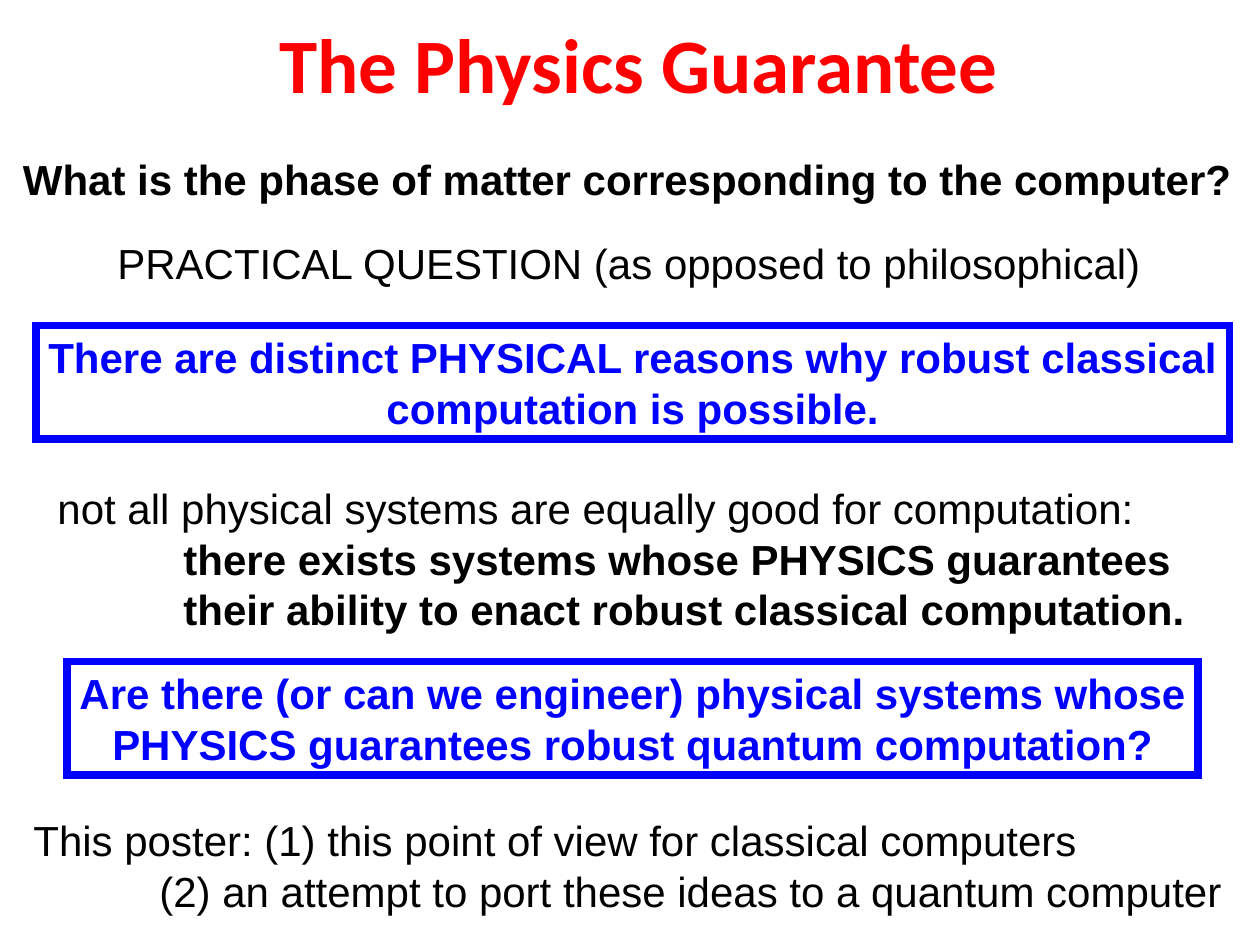
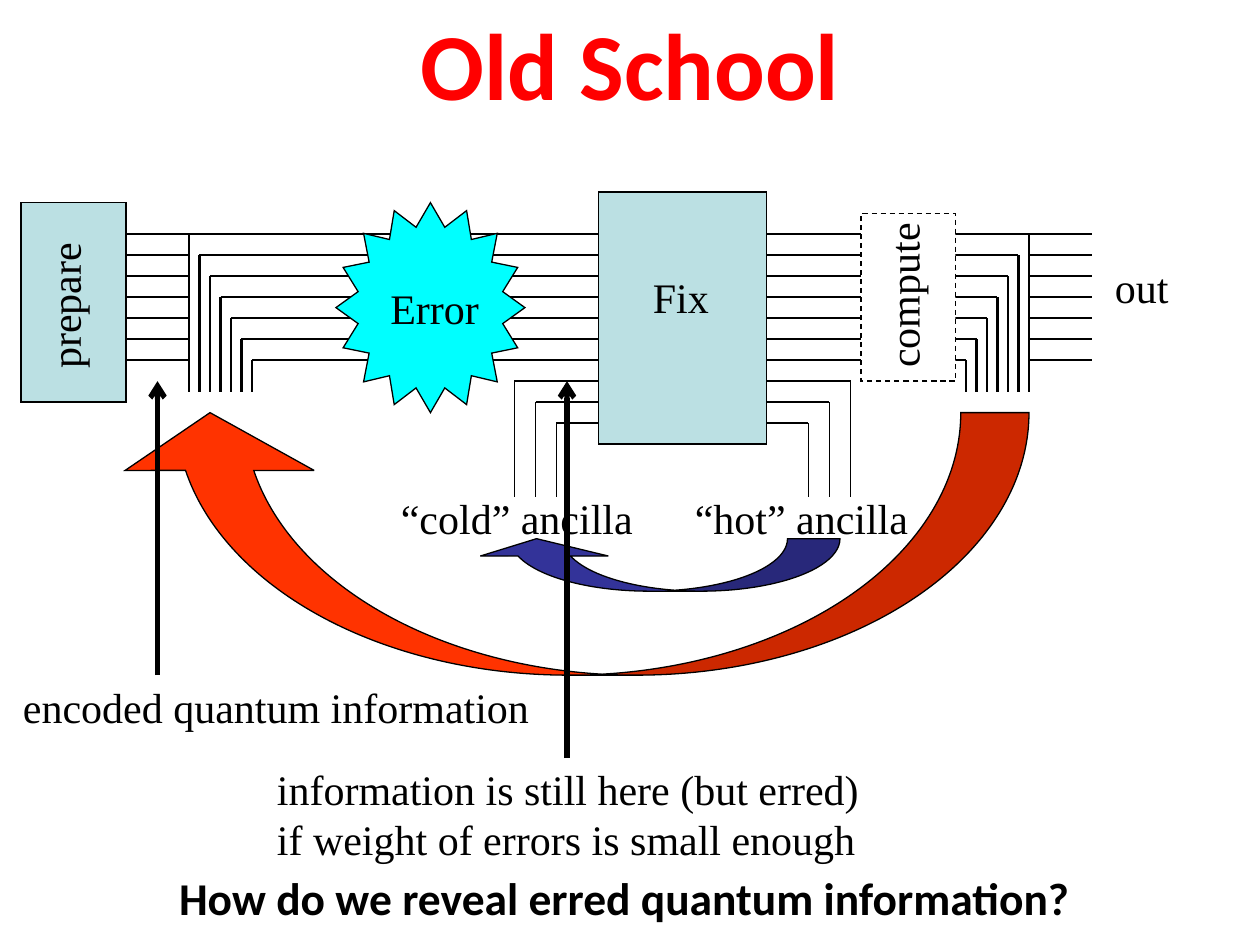
import pptx
import pptx.util
import pptx.dml.color
import pptx.enum.dml
import pptx.enum.shapes
import pptx.enum.text
import pptx.oxml.ns
import lxml.etree

RGB = pptx.dml.color.RGBColor
KIND = pptx.enum.shapes.MSO_SHAPE
ALIGN = pptx.enum.text.PP_ALIGN

RED = RGB(0xFF, 0x00, 0x00)
BLUE = RGB(0x00, 0x00, 0xFF)
BLACK = RGB(0x00, 0x00, 0x00)
WHITE = RGB(0xFF, 0xFF, 0xFF)
PALE = RGB(0xBB, 0xE0, 0xE3)
CYAN = RGB(0x00, 0xFF, 0xFF)
NAVY = RGB(0x33, 0x33, 0x99)
FLAME = RGB(0xFF, 0x33, 0x00)

SCALE = 7620
SANS, SERIF, HEAD = "Arial", "Times New Roman", "Calibri"
TAB = 120

TITLES = [
    ("The Physics Guarantee", (174, 10, 869, 101), 44),
    ("Old School", (345, 0, 510, 120), 54),
]

CLAIMS = [
    ((10, 140, 1175, 60),
     [("What is the phase of matter corresponding to the computer?", 0, True)]),
    ((100, 220, 1000, 60),
     [("PRACTICAL QUESTION (as opposed to philosophical)", 0, False)]),
    ((43, 454, 1097, 156),
     [("not all physical systems are equally good for computation:", 0, False),
      ("there exists systems whose PHYSICS guarantees", TAB, True),
      ("their ability to enact robust classical computation.", TAB, True)]),
    ((20, 770, 1156, 108),
     [("This poster: (1) this point of view for classical computers", 0, False),
      ("(2) an attempt to port these ideas to a quantum computer", TAB, False)]),
]

FRAMED = [
    ((34, 310, 1137, 108),
     ["There are distinct PHYSICAL reasons why robust classical",
      "computation is possible."]),
    ((64, 630, 1077, 108),
     ["Are there (or can we engineer) physical systems whose",
      "PHYSICS guarantees robust quantum computation?"]),
]

LABELS = [
    (["Error"], (360, 263, 120, 60), 0),
    (["Fix"], (610, 253, 90, 60), 0),
    (["“cold” ancilla"], (370, 463, 250, 60), 0),
    (["“hot” ancilla"], (650, 463, 230, 60), 0),
    (["prepare"], (-14, 258, 150, 60), 270),
    (["out"], (1050, 243, 80, 60), 0),
    (["compute"], (775, 247, 170, 60), 270),
    (["encoded quantum information"], (10, 643, 505, 60), 0),
    (["information is still here (but erred)",
      "if weight of errors is small enough"], (252, 721, 578, 108), 0),
]
ASK = "How do we reveal erred quantum information?"

WIRES, STEP, TOP = 7, 20, 223
LEFT, RIGHT, DROP, STUB = 180, 980, 373, 60
SPARES, COLD, HOT, SPARE, FALL = 3, 490, 810, 363, 473
FIX = (570, 183, 160, 240)
LOOPS = [
    ((450, 513, 350, 50), NAVY, (1.0, 2.44, 0.33)),
    ((110, 393, 870, 250), FLAME, (0.26, 0.72, 0.22)),
]
POINTERS = [(150, 643, 363), (540, 722, 363)]


def px(n):
    return pptx.util.Emu(n * SCALE)


def place(shape, box):
    shape.left, shape.top, shape.width, shape.height = map(px, box)


def append(parent, tag, **values):
    lxml.etree.SubElement(parent, pptx.oxml.ns.qn(tag), **values)


def write(shape, text, size=24, font=SANS, color=BLACK, bold=False,
          align=ALIGN.LEFT, wrap=False):
    frame = shape.text_frame
    frame.auto_size = pptx.enum.text.MSO_AUTO_SIZE.NONE
    frame.word_wrap = wrap
    frame.vertical_anchor = pptx.enum.text.MSO_ANCHOR.TOP
    for i, item in enumerate(text):
        line, inset, heavy = item if isinstance(item, tuple) else (item, 0, bold)
        para = frame.paragraphs[0] if i == 0 else frame.add_paragraph()
        if inset:
            para._p.get_or_add_pPr().set("marL", str(px(inset)))
        para.alignment = align
        run = para.add_run()
        run.text = line
        run.font.name = font
        run.font.size = pptx.util.Pt(size)
        run.font.bold = heavy
        run.font.color.rgb = color


def label(slide, text, box, turn=0, **style):
    shape = slide.shapes.add_textbox(*map(px, box))
    shape.rotation = turn
    write(shape, text, **style)


def form(slide, kind, box, fill=None, line=BLACK, width=0.75):
    shape = slide.shapes.add_shape(kind, *map(px, box))
    shape.shadow.inherit = False
    if fill is None:
        shape.fill.background()
    else:
        shape.fill.solid()
        shape.fill.fore_color.rgb = fill
    shape.line.color.rgb = line
    shape.line.width = pptx.util.Pt(width)
    append(shape.line._get_or_add_ln(), "a:miter", lim="800000")
    return shape


def wire(slide, start, end, width=1, arrow=False):
    line = slide.shapes.add_connector(
        pptx.enum.shapes.MSO_CONNECTOR.STRAIGHT, *map(px, start + end))
    line.line.color.rgb = BLACK
    line.line.width = pptx.util.Pt(width)
    if arrow:
        append(line.line._get_or_add_ln(), "a:tailEnd", type="arrow")
    append(line._element.spPr, "a:effectLst")


def begin(deck, number):
    text, box, size = TITLES[number]
    slide = deck.slides.add_slide(deck.slide_layouts[5])
    place(slide.shapes.title, box)
    write(slide.shapes.title, [text], size=size, font=HEAD, color=RED,
          bold=True, align=ALIGN.CENTER)
    return slide


def physics(deck):
    slide = begin(deck, 0)
    for box, text in CLAIMS:
        label(slide, text, box)
    for box, text in FRAMED:
        frame = form(slide, KIND.RECTANGLE, box, line=BLUE, width=4.5)
        write(frame, text, color=BLUE, bold=True, align=ALIGN.CENTER)


def school(deck):
    slide = begin(deck, 1)
    for i in range(WIRES):
        y, a, b = TOP + i * STEP, LEFT + i * 10, RIGHT - i * 10
        wire(slide, (a, y), (b, y))
        for x in (a, b):
            wire(slide, (x, y), (x, DROP), width=1.5)
        for x in (LEFT - STUB, RIGHT):
            wire(slide, (x, y), (x + STUB, y), width=0.75)

    for i in range(SPARES):
        y = SPARE + i * STEP
        for x, side in ((COLD + i * STEP, FIX[0]),
                        (HOT - i * STEP, FIX[0] + FIX[2])):
            wire(slide, (x, y), (side, y))
            wire(slide, (x, y), (x, FALL))

    form(slide, KIND.RECTANGLE, FIX, PALE)
    form(slide, KIND.RECTANGLE, (20, 193, 100, 190), PALE)
    gate = form(slide, KIND.RECTANGLE, (820, 203, 90, 160), WHITE)
    gate.line.dash_style = pptx.enum.dml.MSO_LINE.DASH
    burst = form(slide, KIND.STAR_16_POINT, (320, 193, 180, 200), CYAN)
    burst.adjustments[0] = 0.39

    for box, fill, bends in LOOPS:
        loop = form(slide, KIND.CURVED_DOWN_ARROW, box, fill)
        loop.rotation = 180
        for i, bend in enumerate(bends):
            loop.adjustments[i] = bend

    for x, low, high in POINTERS:
        wire(slide, (x, low), (x, high), width=3, arrow=True)
    for text, box, turn in LABELS:
        label(slide, text, box, turn, font=SERIF)
    label(slide, [ASK], (80, 823, 1030, 70), size=26, font=HEAD, bold=True,
          align=ALIGN.CENTER, wrap=True)


def main():
    deck = pptx.Presentation()
    deck.slide_width, deck.slide_height = px(1200), px(900)
    physics(deck)
    school(deck)
    deck.save("out.pptx")


if __name__ == "__main__":
    main()
